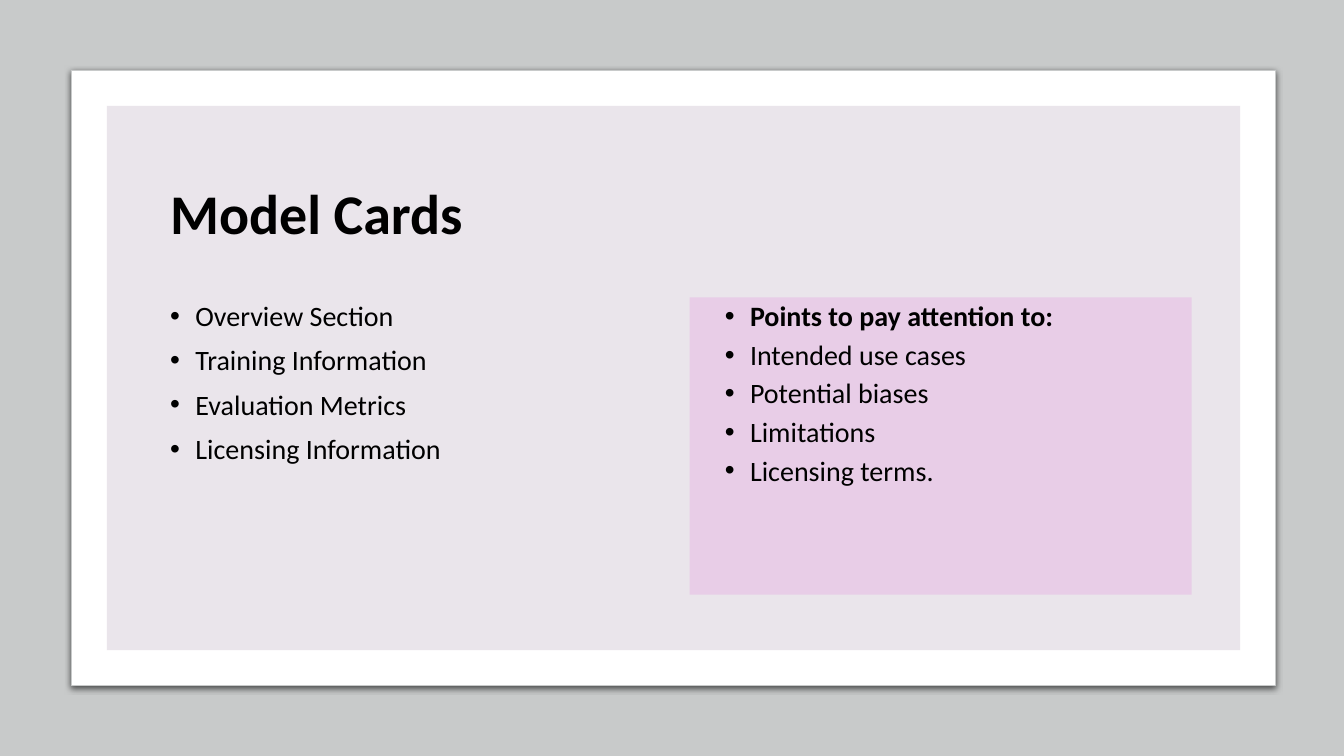
from lxml.etree import SubElement
from pptx import Presentation
from pptx.dml.color import RGBColor
from pptx.enum.shapes import MSO_SHAPE
from pptx.enum.text import MSO_ANCHOR, PP_ALIGN
from pptx.oxml.ns import qn
from pptx.util import Inches, Pt

GRAY = RGBColor(0xC8, 0xCA, 0xCA)
WHITE = RGBColor(0xFF, 0xFF, 0xFF)
LILAC = RGBColor(0xEA, 0xE5, 0xEB)
PINK = RGBColor(0xE8, 0xCD, 0xE7)
BLACK = RGBColor(0, 0, 0)

SECTIONS = [
    "Overview Section",
    "Training Information",
    "Evaluation Metrics",
    "Licensing Information",
]
ATTENTION_POINTS = [
    "Points to pay attention to:",
    "Intended use cases",
    "Potential biases",
    "Limitations",
    "Licensing terms.",
]


def add_panel(slide, left, top, width, height, fill,
              outline=None, kind=MSO_SHAPE.RECTANGLE):
    panel = slide.shapes.add_shape(
        kind, Inches(left), Inches(top), Inches(width), Inches(height))
    panel.shadow.inherit = False
    panel.fill.solid()
    panel.fill.fore_color.rgb = fill
    if outline is None:
        panel.line.fill.background()
    else:
        panel.line.color.rgb = outline
        panel.line.width = Pt(0.75)
    return panel


def add_drop_shadow(panel):
    effects = panel.element.spPr.find(qn("a:effectLst"))
    shadow = SubElement(effects, qn("a:outerShdw"), blurRad=str(Pt(4.5)),
                        dist=str(Pt(1.5)), dir="5400000", rotWithShape="0")
    color = SubElement(shadow, qn("a:srgbClr"), val=str(BLACK))
    SubElement(color, qn("a:alpha"), val="63000")


def add_bullet(paragraph, indent):
    properties = paragraph._p.get_or_add_pPr()
    properties.set("marL", str(Inches(indent)))
    properties.set("indent", str(-Inches(0.25)))
    SubElement(properties, qn("a:buFont"), typeface="Arial")
    SubElement(properties, qn("a:buChar"), char="•")


def write_text(frame, lines, size=20, bold_lines=0, indent=None,
               before=0, after=0, anchor=MSO_ANCHOR.TOP):
    frame.word_wrap = True
    frame.vertical_anchor = anchor
    for index, line in enumerate(lines):
        paragraph = frame.paragraphs[0] if index == 0 else frame.add_paragraph()
        if indent is not None:
            add_bullet(paragraph, indent)
        paragraph.alignment = PP_ALIGN.LEFT
        paragraph.line_spacing = 0.9
        paragraph.space_before = Pt(before if index else 0)
        paragraph.space_after = Pt(after)
        run = paragraph.add_run()
        run.text = line
        run.font.name = "Calibri"
        run.font.size = Pt(size)
        run.font.bold = index < bold_lines
        run.font.color.rgb = BLACK


def add_text(slide, left, top, width, height, lines, **text_format):
    box = slide.shapes.add_textbox(
        Inches(left), Inches(top), Inches(width), Inches(height))
    write_text(box.text_frame, lines, **text_format)


def main():
    deck = Presentation()
    deck.slide_width = Inches(13.33)
    deck.slide_height = Inches(7.5)
    slide = deck.slides.add_slide(deck.slide_layouts[6])

    add_panel(slide, 0, 0, 13.33, 7.5, GRAY)
    card = add_panel(slide, 0.71, 0.7, 11.94, 6.1, WHITE, outline=GRAY,
                     kind=MSO_SHAPE.ROUNDED_RECTANGLE)
    card.adjustments[0] = 0
    add_drop_shadow(card)
    add_panel(slide, 1.06, 1.05, 11.24, 5.4, LILAC)

    add_text(slide, 1.59, 1.58, 10.23, 1.14, ["Model Cards"],
             size=40, bold_lines=1, anchor=MSO_ANCHOR.MIDDLE)
    add_text(slide, 1.59, 2.95, 4.9, 2.95, SECTIONS, indent=0.25, before=10)
    attention = add_panel(slide, 6.84, 2.95, 4.98, 2.95, PINK)
    write_text(attention.text_frame, ATTENTION_POINTS,
               bold_lines=1, indent=0.5, after=6)

    deck.save("out.pptx")


if __name__ == "__main__":
    main()
